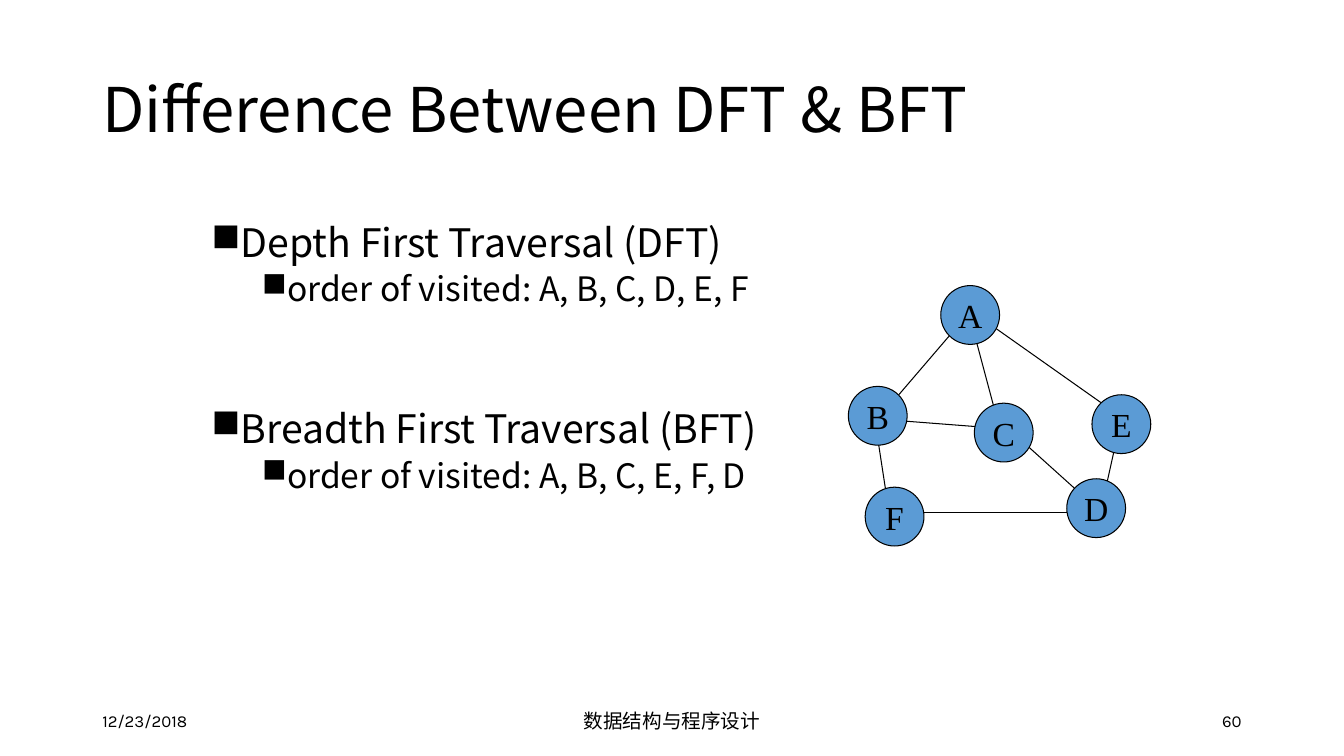
import pptx
import pptx.util
import pptx.dml.color
import pptx.enum.shapes
import pptx.enum.text
import pptx.oxml.ns
import lxml.etree

PX = 9525
SANS = "Noto Sans CJK SC"
FOOT = "Karla"
SERIF = "Times New Roman"
HUES = {"ink": "000000", "node": "5B9BD5"}
ALIGN = pptx.enum.text.PP_ALIGN
MIDDLE = pptx.enum.text.MSO_ANCHOR.MIDDLE
NODES = {
    "A": (896, 272),
    "B": (808, 368),
    "C": (928, 384),
    "E": (1040, 376),
    "F": (824, 464),
    "D": (1016, 456),
}
EDGES = [
    (848, 400, 952, 408),
    (904, 320, 856, 376),
    (920, 288, 952, 408),
    (936, 304, 1072, 400),
    (832, 392, 848, 496),
    (1064, 416, 1048, 488),
    (960, 408, 1040, 480),
    (864, 488, 1032, 488),
]
ITEMS = [
    ("Depth First Traversal (DFT)", 0, 0),
    ("order of visited: A, B, C, D, E, F", 1, 5),
    ("Breadth First Traversal (BFT)", 0, 72),
    ("order of visited: A, B, C, E, F, D", 1, 5),
]


def scale(*sizes):
    return [size * PX for size in sizes]


def hue(name):
    return pptx.dml.color.RGBColor.from_string(HUES[name])


def add_run(para, text, size, font):
    run = para.add_run()
    run.text = text
    run.font.size = pptx.util.Pt(size)
    run.font.name = font
    run.font.color.rgb = hue("ink")


def add_box(slide, area):
    frame = slide.shapes.add_textbox(*scale(*area)).text_frame
    frame.word_wrap = True
    return frame


def add_label(slide, area, text, size, font, align=ALIGN.LEFT):
    frame = add_box(slide, area)
    frame.vertical_anchor = MIDDLE
    para = frame.paragraphs[0]
    para.alignment = align
    para.line_spacing = 0.9 if font == SANS else 1.0
    add_run(para, text, size, font)


def add_list(slide, area, items):
    frame = add_box(slide, area)
    for rank, (text, level, gap) in enumerate(items):
        para = frame.add_paragraph() if rank else frame.paragraphs[0]
        para.level = level
        para.line_spacing = pptx.util.Pt(26 if level else 30)
        para.space_before = pptx.util.Pt(gap)
        props = para._p.get_or_add_pPr()
        props.set("marL", str((24 + 48 * level) * PX))
        props.set("indent", str(-24 * PX))
        mark = lxml.etree.SubElement(props, pptx.oxml.ns.qn("a:buChar"))
        mark.set("char", "■")
        add_run(para, text, 24 if level else 28, SANS)


def add_edge(slide, ends):
    kind = pptx.enum.shapes.MSO_CONNECTOR.STRAIGHT
    edge = slide.shapes.add_connector(kind, *scale(*ends))
    edge.line.color.rgb = hue("ink")
    edge.line.width = pptx.util.Pt(0.75)
    props = edge._element.spPr
    lxml.etree.SubElement(props, pptx.oxml.ns.qn("a:effectLst"))


def add_node(slide, name, left, top):
    kind = pptx.enum.shapes.MSO_SHAPE.OVAL
    node = slide.shapes.add_shape(kind, *scale(left, top, 56, 56))
    node.shadow.inherit = False
    node.fill.solid()
    node.fill.fore_color.rgb = hue("node")
    node.line.color.rgb = hue("ink")
    node.line.width = pptx.util.Pt(0.75)
    frame = node.text_frame
    frame.word_wrap = False
    frame.vertical_anchor = MIDDLE
    para = frame.paragraphs[0]
    para.alignment = ALIGN.CENTER
    add_run(para, name, 24, SERIF)


def main():
    deck = pptx.Presentation()
    deck.slide_width, deck.slide_height = scale(1280, 720)
    slide = deck.slides.add_slide(deck.slide_layouts[6])
    add_label(slide, (88, 667, 288, 38), "12/23/2018", 12, FOOT)
    add_label(slide, (424, 667, 432, 38), "数据结构与程序设计", 14, FOOT, ALIGN.CENTER)
    add_label(slide, (904, 667, 288, 38), "60", 12, FOOT, ALIGN.RIGHT)
    add_label(slide, (88, 38, 1104, 139), "Difference Between DFT & BFT", 44, SANS)
    add_list(slide, (192, 208, 816, 432), ITEMS)
    for ends in EDGES:
        add_edge(slide, ends)
    for name, (left, top) in NODES.items():
        add_node(slide, name, left, top)
    deck.save("out.pptx")


if __name__ == "__main__":
    main()
